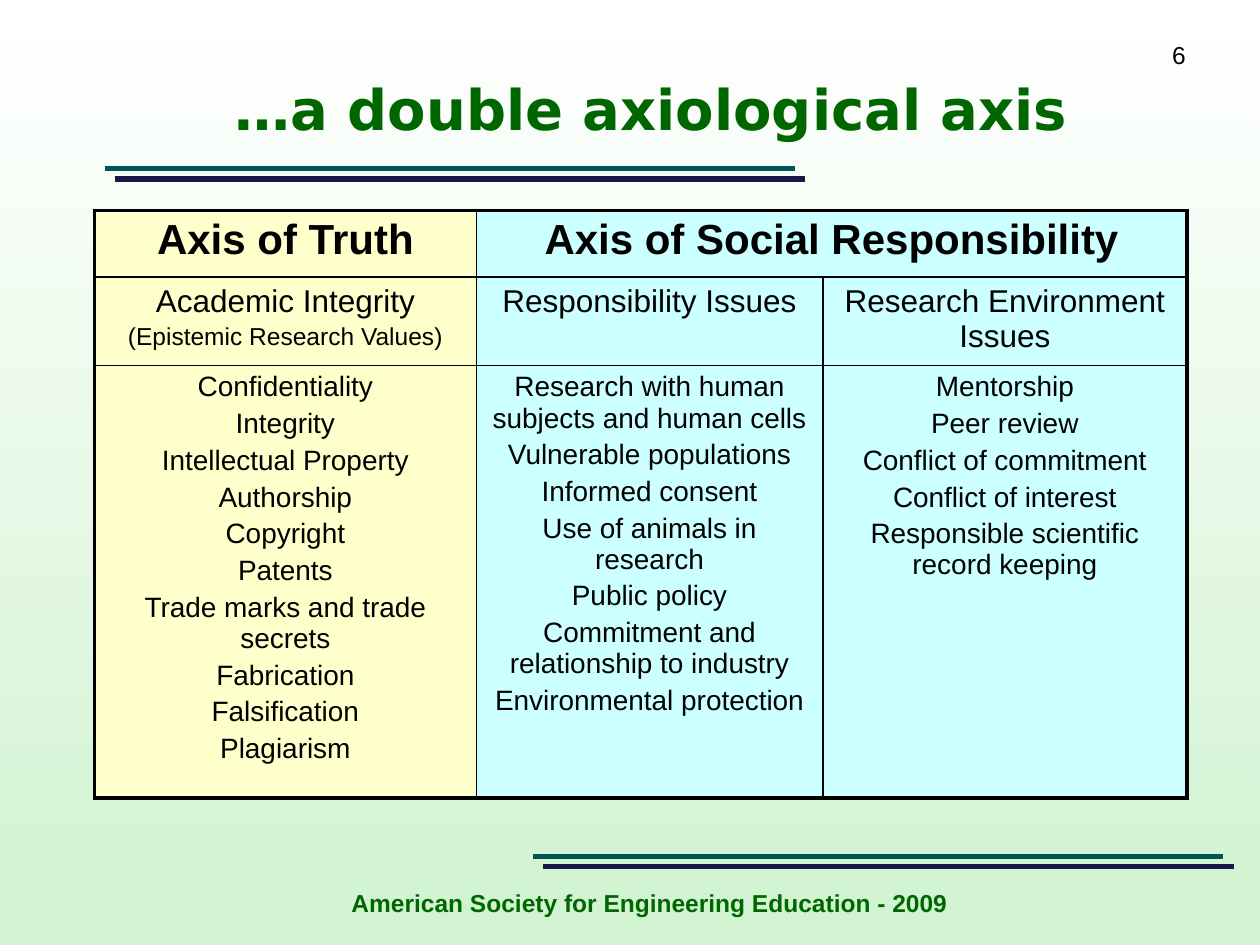
from dataclasses import dataclass
from typing import Any

from lxml.etree import SubElement
from pptx import Presentation
from pptx.dml.color import RGBColor
from pptx.enum.text import MSO_ANCHOR, PP_ALIGN
from pptx.oxml import parse_xml
from pptx.oxml.ns import nsdecls, qn
from pptx.util import Inches, Pt


@dataclass(frozen=True)
class Theme:
    black: str = "000000"
    green: str = "006600"
    teal: str = "005654"
    navy: str = "181848"
    cream: str = "FFFFCC"
    aqua: str = "CCFFFF"
    top: str = "FFFFFF"
    base: str = "D1F3D1"
    font: str = "Arial"
    display: str = "DejaVu Sans"
    title: int = 32
    head: int = 24
    group: int = 18
    body: int = 16
    small: int = 14
    rule: float = 3
    thick: float = 2.25
    thin: float = 1


@dataclass(frozen=True)
class Rule:
    left: float
    top: float
    width: float = 5.48


@dataclass(frozen=True)
class Entry:
    row: int
    col: int
    lines: tuple[str, ...]
    size: int
    bold: bool = False
    span: int = 1
    note: str = ""


theme = Theme()
RULES = (Rule(0.83, 1.34), Rule(4.23, 6.8))
SHIFT = 0.08
WIDTHS = (3.03, 2.75, 2.89)
HEIGHTS = (0.53, 0.68, 3.21)
ENTRIES = (
    Entry(0, 0, ("Axis of Truth",), theme.head, True),
    Entry(0, 1, ("Axis of Social Responsibility",), theme.head, True, 2),
    Entry(1, 0, ("Academic Integrity",), theme.group,
          note="(Epistemic Research Values)"),
    Entry(1, 1, ("Responsibility Issues",), theme.group),
    Entry(1, 2, ("Research Environment Issues",), theme.group),
    Entry(2, 0, ("Confidentiality", "Integrity", "Intellectual Property",
                 "Authorship", "Copyright", "Patents",
                 "Trade marks and trade secrets", "Fabrication",
                 "Falsification", "Plagiarism"), theme.body),
    Entry(2, 1, ("Research with human subjects and human cells",
                 "Vulnerable populations", "Informed consent",
                 "Use of animals in research", "Public policy",
                 "Commitment and relationship to industry",
                 "Environmental protection"), theme.body),
    Entry(2, 2, ("Mentorship", "Peer review", "Conflict of commitment",
                 "Conflict of interest",
                 "Responsible scientific record keeping"), theme.body),
)


def write(frame: Any, text: str, *, size: int, color: str = theme.black,
          font: str = theme.font, bold: bool = False,
          align: PP_ALIGN = PP_ALIGN.LEFT, space: float = 0,
          fresh: bool = True) -> None:
    para = frame.paragraphs[0] if fresh else frame.add_paragraph()
    para.alignment = align
    para.space_before = Pt(space)
    run = para.add_run()
    run.text = text
    run.font.name = font
    run.font.size = Pt(size)
    run.font.bold = bold
    run.font.color.rgb = RGBColor.from_string(color)


def add_box(slide: Any, left: float, top: float, width: float,
            height: float, inset: float = 0) -> Any:
    box = slide.shapes.add_textbox(
        Inches(left), Inches(top), Inches(width), Inches(height))
    frame = box.text_frame
    frame.word_wrap = True
    if not inset:
        frame.margin_left = frame.margin_right = 0
        frame.margin_top = frame.margin_bottom = 0
    return frame


def add_rule(slide: Any, rule: Rule) -> None:
    for shift, color in ((SHIFT, theme.navy), (0, theme.teal)):
        left, top = Inches(rule.left + shift), Inches(rule.top + shift)
        line = slide.shapes.add_connector(
            1, left, top, left + Inches(rule.width), top)
        line.line.color.rgb = RGBColor.from_string(color)
        line.line.width = Pt(theme.rule)
        SubElement(line._element.spPr, qn("a:effectLst"))


def add_edges(cell: Any, entry: Entry) -> None:
    outer = {
        "L": entry.col == 0,
        "R": entry.col + entry.span == len(WIDTHS),
        "T": entry.row == 0,
        "B": entry.row + 1 == len(HEIGHTS),
    }
    props = cell._tc.get_or_add_tcPr()
    for place, (side, edge) in enumerate(outer.items()):
        width = Pt(theme.thick if edge else theme.thin)
        props.insert(place, parse_xml(
            f'<a:ln{side} {nsdecls("a")} w="{width}"><a:solidFill>'
            f'<a:srgbClr val="{theme.black}"/></a:solidFill></a:ln{side}>'))


def fill_cell(table: Any, entry: Entry) -> None:
    cell = table.cell(entry.row, entry.col)
    if entry.span > 1:
        cell.merge(table.cell(entry.row, entry.col + entry.span - 1))
    cell.fill.solid()
    cell.fill.fore_color.rgb = RGBColor.from_string(
        theme.aqua if entry.col else theme.cream)
    for place, text in enumerate(entry.lines):
        write(cell.text_frame, text, size=entry.size, bold=entry.bold,
              align=PP_ALIGN.CENTER, space=entry.size * 0.2,
              fresh=place == 0)
    if entry.note:
        write(cell.text_frame, entry.note, size=theme.small,
              align=PP_ALIGN.CENTER, space=theme.small * 0.2, fresh=False)
    add_edges(cell, entry)


def add_grid(slide: Any) -> None:
    table = slide.shapes.add_table(
        len(HEIGHTS), len(WIDTHS), Inches(0.75), Inches(1.67),
        Inches(sum(WIDTHS)), Inches(sum(HEIGHTS))).table
    table.first_row = table.horz_banding = False
    for col, width in zip(table.columns, WIDTHS):
        col.width = Inches(width)
    for row, height in zip(table.rows, HEIGHTS):
        row.height = Inches(height)
    for entry in ENTRIES:
        fill_cell(table, entry)


def main() -> None:
    deck = Presentation()
    deck.slide_width, deck.slide_height = Inches(10), Inches(7.5)
    slide = deck.slides.add_slide(deck.slide_layouts[5])

    fill = slide.background.fill
    fill.gradient()
    fill.gradient_angle = 270
    for stop, color, place in zip(
            fill.gradient_stops, (theme.top, theme.base), (0, 1)):
        stop.color.rgb = RGBColor.from_string(color)
        stop.position = place

    for rule in RULES:
        add_rule(slide, rule)

    title = slide.shapes.title
    title.left, title.top = Inches(1.76), Inches(0.41)
    title.width, title.height = Inches(7.32), Inches(0.89)
    title.text_frame.vertical_anchor = MSO_ANCHOR.MIDDLE
    write(title.text_frame, "…a double axiological axis", size=theme.title,
          color=theme.green, font=theme.display, bold=True)

    write(add_box(slide, 2.69, 7, 5.79, 0.33, inset=0.1),
          "American Society for Engineering Education - 2009",
          size=theme.small, color=theme.green, bold=True)
    write(add_box(slide, 7.66, 0.32, 1.75, 0.73), "6",
          size=theme.small, align=PP_ALIGN.RIGHT)
    add_grid(slide)
    deck.save("out.pptx")


main()
